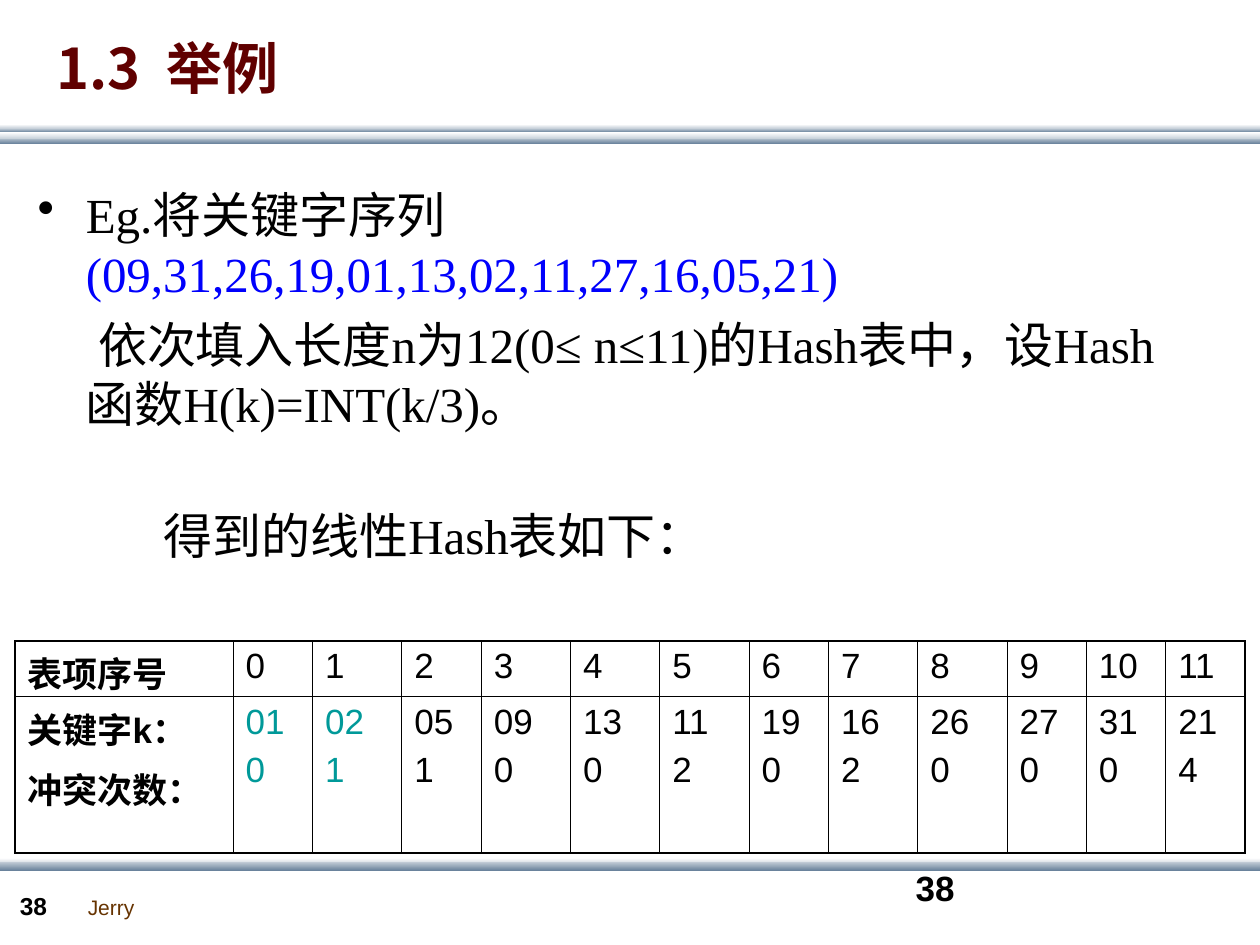
import pptx
import pptx.dml.color
import pptx.enum.shapes
import pptx.enum.text
import pptx.oxml.ns
import pptx.util
from lxml import etree

Cm = pptx.util.Cm
Pt = pptx.util.Pt
qn = pptx.oxml.ns.qn

BLACK = "000000"
CHINESE_FONT = "Noto Sans CJK SC"


def color(hex_string):
    return pptx.dml.color.RGBColor.from_string(hex_string)


def add_text(frame, text, size=20, font="Arial", ink=BLACK, bold=False,
             before=0, para=None):
    """Add a run to the given paragraph, or to the next free one of the frame."""
    if para is None:
        first = frame.paragraphs[0]
        para = first if not first.runs else frame.add_paragraph()
        para.space_before = Pt(before)
    span = para.add_run()
    span.text = text
    span.font.size = Pt(size)
    span.font.name = font
    span.font.bold = bold
    span.font.color.rgb = color(ink)
    east_asian = etree.SubElement(span.font._element, qn("a:ea"))
    east_asian.set("typeface", CHINESE_FONT)
    return para


deck = pptx.Presentation()
deck.slide_width = Cm(25.4)
deck.slide_height = Cm(19.05)
page = deck.slides.add_slide(deck.slide_layouts[6])

# Gradient rules above and below the content
dark = ("C8D1DA", "6A839C")
light = ("FFFFFF", "C8D1DA")
rules = [
    (2.77, 0.13, dark), (2.59, 0.08, dark),
    (2.67, 0.13, light), (2.51, 0.08, light),
    (17.3, 0.13, light), (17.37, 0.18, dark),
]
for top, height, shades in rules:
    rule = page.shapes.add_shape(pptx.enum.shapes.MSO_SHAPE.RECTANGLE,
                                 0, Cm(top), Cm(25.43), Cm(height))
    rule.shadow.inherit = False
    rule.line.fill.background()
    rule.fill.gradient()
    rule.fill.gradient_angle = 270
    for stop, shade in zip(rule.fill.gradient_stops, shades):
        stop.color.rgb = color(shade)

# Single-line texts: footer, page numbers and title
labels = [
    ("Jerry", (1.52, 17.91, 1.45, 0.76), dict(size=12, ink="663300")),
    ("38", (0.15, 17.83, 1.4, 0.86), dict(size=14, bold=True)),
    ("38", (18.21, 17.35, 5.92, 1.27), dict(bold=True)),
    ("1.3  举例", (0.89, 0.38, 22.86, 1.96),
     dict(size=32, font=CHINESE_FONT, ink="600000", bold=True)),
]
for text, place, style in labels:
    box = page.shapes.add_textbox(*map(Cm, place))
    box.text_frame.word_wrap = text != "Jerry"
    add_text(box.text_frame, text, **style)
box.text_frame.vertical_anchor = pptx.enum.text.MSO_ANCHOR.MIDDLE

# Problem statement
body = page.shapes.add_textbox(Cm(0.51), Cm(3.58), Cm(23.62), Cm(8.99)).text_frame
body.word_wrap = True
body_style = dict(size=28, font="Times New Roman")
question = add_text(body, "Eg.将关键字序列", **body_style)
question.add_line_break()
add_text(body, "(09,31,26,19,01,13,02,11,27,16,05,21)", ink="0000FC",
         para=question, **body_style)
task = add_text(body, "依次填入长度n为12(0≤ n≤11)的Hash表中，设Hash函数H(k)=INT(k/3)。",
                before=7, **body_style)
result = add_text(body, "得到的线性Hash表如下：", before=41.5, **body_style)

indents = [(question, 0.97, -0.97), (task, 0.97, 0.25), (result, 2.54, 0)]
for para, margin, first_line in indents:
    para.line_spacing = Pt(33.75)
    properties = para._p.get_or_add_pPr()
    properties.set("marL", str(Cm(margin)))
    properties.set("indent", str(Cm(first_line)))
bullet = etree.SubElement(question._p.get_or_add_pPr(), qn("a:buChar"))
bullet.set("char", "•")

# Hash table: slot number, then key and collision count
keys = ["01", "02", "05", "09", "13", "11", "19", "16", "26", "27", "31", "21"]
collisions = [0, 1, 1, 0, 0, 2, 0, 2, 0, 0, 0, 4]
header = [["表项序号"]] + [[str(slot)] for slot in range(len(keys))]
entries = [["关键字k：", "冲突次数："]]
entries += [[key, str(count)] for key, count in zip(keys, collisions)]
rows = [header, entries]
narrow, wide = 1.6, 1.8
widths = [4.4, narrow, wide, narrow, wide, wide, wide, narrow, wide, wide,
          narrow, narrow, narrow]

table = page.shapes.add_table(len(rows), len(widths), Cm(0.3), Cm(12.92),
                              Cm(sum(widths)), Cm(4.27)).table
table.first_row = False
table.horz_banding = False
for column, width in zip(table.columns, widths):
    column.width = Cm(width)
for row, height in zip(table.rows, (1.12, 3.15)):
    row.height = Cm(height)

for row_number, row in enumerate(rows):
    for column_number, lines in enumerate(row):
        cell = table.cell(row_number, column_number)
        highlighted = row_number == 1 and column_number in (1, 2)
        for line_number, line in enumerate(lines):
            add_text(cell.text_frame, line, bold=column_number == 0,
                     ink="009999" if highlighted else BLACK,
                     before=5 if line_number else 0)
        outer_sides = {
            "a:lnL": column_number == 0,
            "a:lnR": column_number == len(widths) - 1,
            "a:lnT": row_number == 0,
            "a:lnB": row_number == len(rows) - 1,
        }
        for side, outer in outer_sides.items():
            border = etree.SubElement(cell._tc.get_or_add_tcPr(), qn(side))
            border.set("w", str(Pt(1.08 if outer else 0.45)))
            fill = etree.SubElement(border, qn("a:solidFill"))
            etree.SubElement(fill, qn("a:srgbClr")).set("val", BLACK)
        cell.fill.background()

deck.save("out.pptx")
